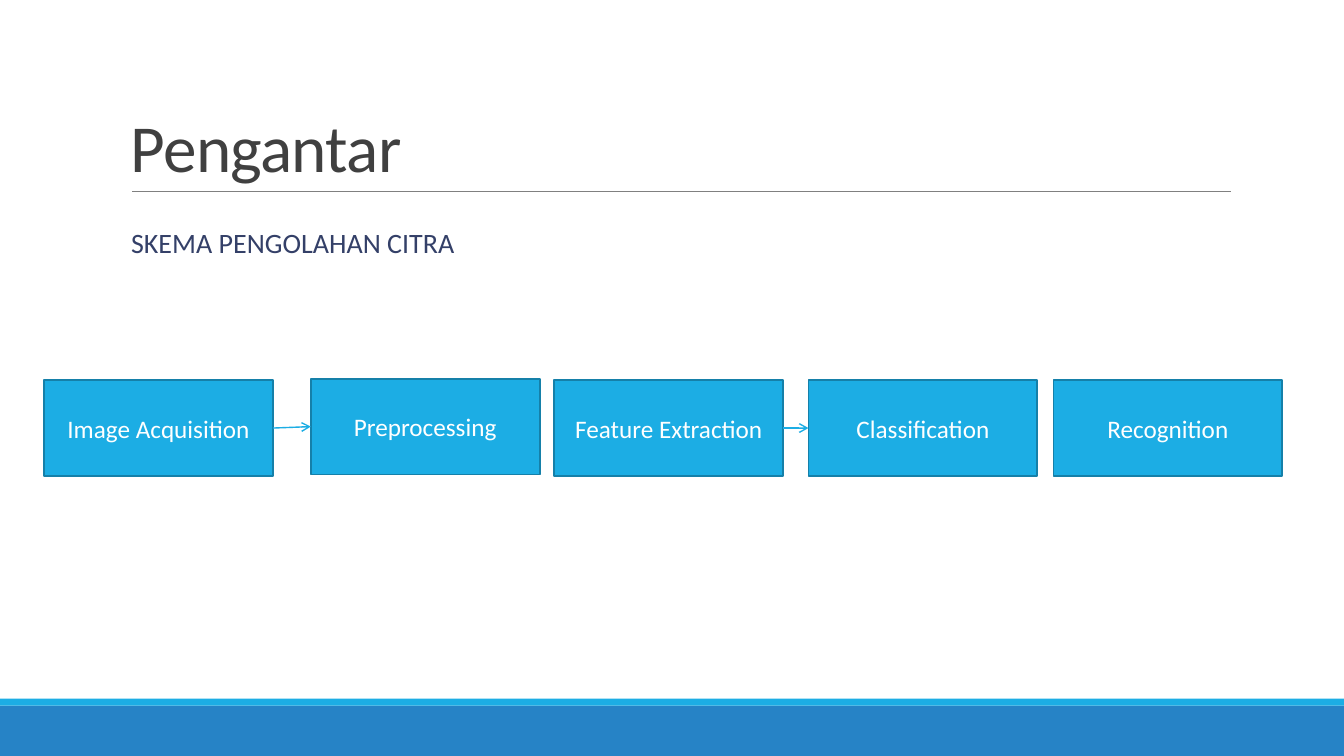
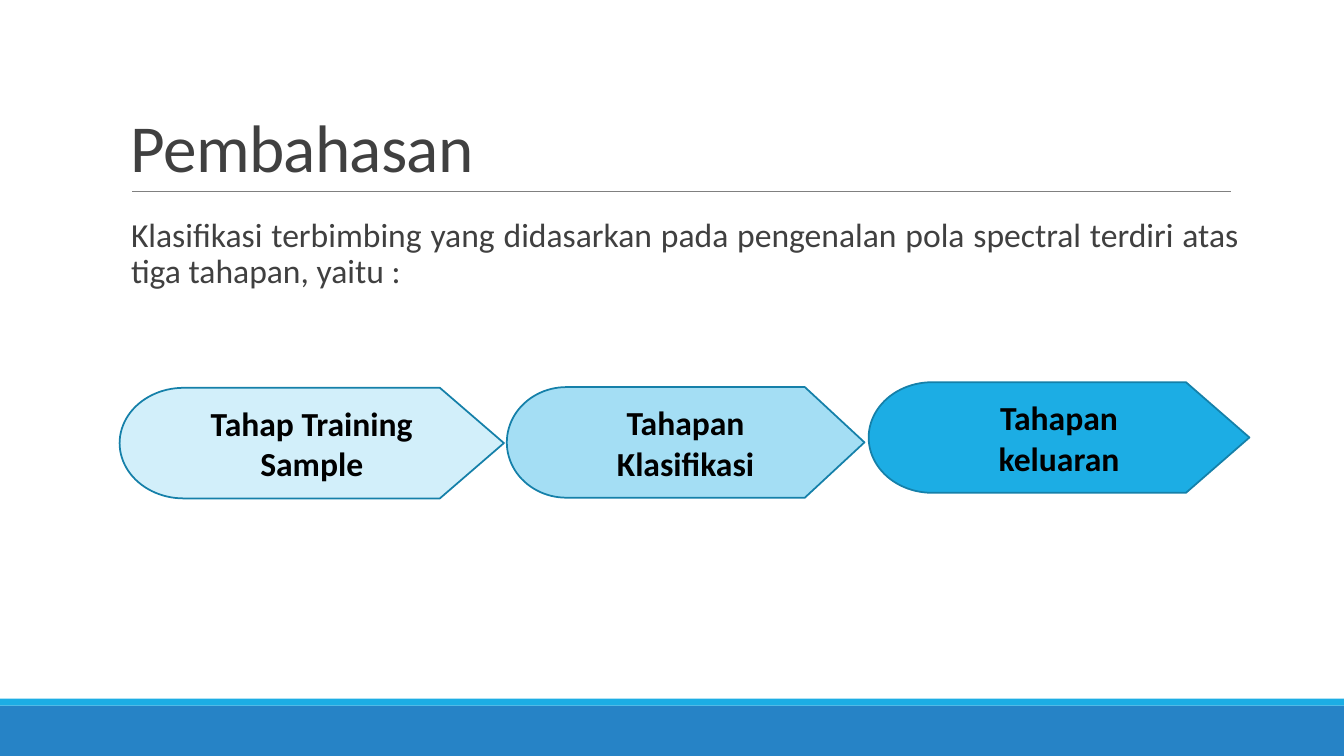
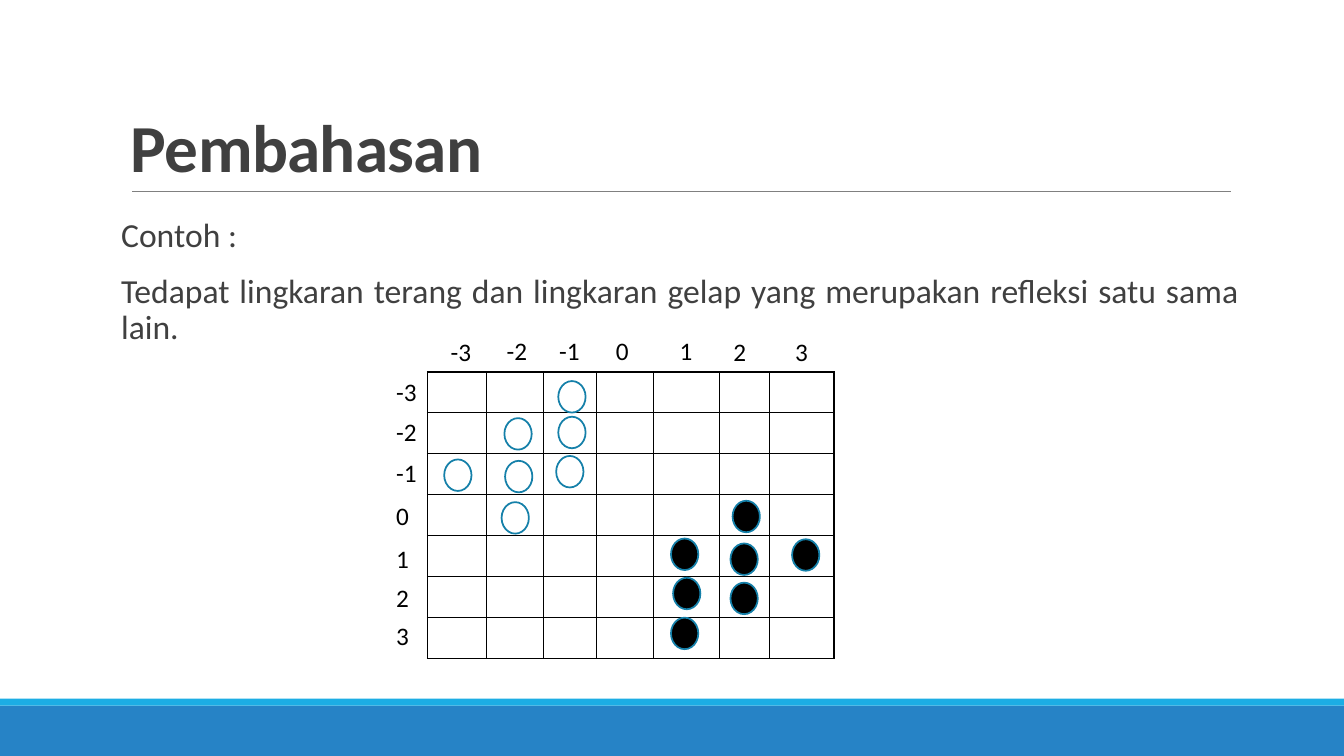
from lxml import etree
from pptx import Presentation
from pptx.dml.color import RGBColor
from pptx.enum.shapes import MSO_CONNECTOR, MSO_SHAPE
from pptx.enum.text import MSO_ANCHOR, MSO_AUTO_SIZE, PP_ALIGN
from pptx.oxml.ns import qn
from pptx.util import Pt

RECTANGLE, ELLIPSE, DISPLAY = MSO_SHAPE.RECTANGLE, MSO_SHAPE.OVAL, MSO_SHAPE.FLOWCHART_DISPLAY
STRAIGHT = MSO_CONNECTOR.STRAIGHT
TOP, MIDDLE, BOTTOM = MSO_ANCHOR.TOP, MSO_ANCHOR.MIDDLE, MSO_ANCHOR.BOTTOM
LEFT, CENTER, JUSTIFY = PP_ALIGN.LEFT, PP_ALIGN.CENTER, PP_ALIGN.JUSTIFY
FIT_TO_TEXT = MSO_AUTO_SIZE.SHAPE_TO_FIT_TEXT

WIDTH, HEIGHT = 960, 540
FONT = "Calibri"
WHITE, BLACK, INK, NAVY, RULE = "FFFFFF", "000000", "404040", "344068", "808080"
BLUE, DEEP_BLUE, OUTLINE = "1CADE4", "2683C6", "1580A9"
SITE_LEFT, SITE_RIGHT = 1, 3

BODY_BOX = (86.5, 152.5, 798.5, 309.5)
BODY_SPACING = {"line_spacing": 0.9, "space_before": Pt(12), "space_after": Pt(2)}
BODY_PARAGRAPH = {"alignment": JUSTIFY, **BODY_SPACING}
BODY_FRAME = {"margin_left": 0, "margin_right": 0}

STEPS = [
    ("Image Acquisition", 0, 1),
    ("Preprocessing", 190.5, 0),
    ("Feature Extraction", 364.5, 1),
    ("Classification", 546, 1),
    ("Recognition", 721, 1),
]
STEPS_WITH_ARROW = (0, 2)
STAGES = [
    ("Tahap Training Sample", 0, 4, 274.5, "D2EFFA"),
    ("Tahapan Klasifikasi", 276.5, 3.5, 255.5, "A4DEF4"),
    ("Tahapan keluaran", 535, 0, 272, BLUE),
]

COORDINATES = ["-3", "-2", "-1", "0", "1", "2", "3"]
COLUMN_WIDTHS = [42.5, 40.5, 38, 40.5, 47.5, 35.5, 46]
ROW_HEIGHT = 29.2
COLUMN_LABELS = [(9.5, -29), (49.5, -30), (87, -30), (127.5, -30),
                 (173, -30), (211.5, -29), (255.5, -29)]
ROW_LABELS = [(-29.5, top) for top in (-0.5, 28, 57.5, 88, 119, 147, 173.5)]
LIGHT_DOTS = [(53, 93), (93.5, 32), (92, 60), (55, 33), (55.5, 63.5), (93.5, 6.5), (12, 62.5)]
DARK_DOTS = [(218, 92), (174, 119), (216.5, 122.5), (260.5, 119.5),
             (175.5, 147), (174, 175.5), (216.5, 150.5)]


def color(hex_code):
    """Turn a hex string into a colour."""
    return RGBColor.from_string(hex_code)


def apply(target, values):
    """Set every attribute in values on the target."""
    for name, value in values.items():
        setattr(target, name, value)


def write(frame, paragraphs, size, hex_code, bold=False, spacing=None, frame_format=None, **paragraph_format):
    """Fill a text frame with paragraphs of one style."""
    apply(frame, {"word_wrap": True, **(frame_format or {})})
    for index, text in enumerate(paragraphs):
        paragraph = frame.add_paragraph() if index else frame.paragraphs[0]
        apply(paragraph, paragraph_format)
        run = paragraph.add_run()
        run.text = text
        apply(run.font, {"name": FONT, "size": Pt(size), "bold": bold})
        run.font.color.rgb = color(hex_code)
        if spacing is not None:
            run.font._element.set("spc", str(spacing))


def add_text(slide, box, paragraphs, size, hex_code, **formats):
    """Place a text box."""
    holder = slide.shapes.add_textbox(*map(Pt, box))
    write(holder.text_frame, paragraphs, size, hex_code, **formats)


def add_block(slide, kind, box, fill=None, outline=None):
    """Place a preset shape with an optional fill and outline."""
    block = slide.shapes.add_shape(kind, *map(Pt, box))
    block.shadow.inherit = False
    if fill:
        block.fill.solid()
        block.fill.fore_color.rgb = color(fill)
    else:
        block.fill.background()
    if outline:
        block.line.color.rgb = color(outline)
        block.line.width = Pt(1.25)
    else:
        block.line.fill.background()
    return block


def add_line(slide, start, end, hex_code, width):
    """Place a straight line without shadow."""
    line = slide.shapes.add_connector(STRAIGHT, *map(Pt, (*start, *end)))
    line.line.color.rgb = color(hex_code)
    line.line.width = Pt(width)
    etree.SubElement(line._element.spPr, qn("a:effectLst"))
    return line


def add_base(deck, title, bold=False):
    """Start a slide with its bands, rule and title."""
    slide = deck.slides.add_slide(deck.slide_layouts[6])
    add_block(slide, RECTANGLE, (0, 504, WIDTH, 36), DEEP_BLUE)
    add_block(slide, RECTANGLE, (0, 499, WIDTH, 5), BLUE)
    add_line(slide, (94.5, 136.8), (879, 136.8), RULE, 0.5)
    add_text(slide, (86.5, 22.5, 792, 114.3), [title], 48, INK, bold=bold, spacing=-50,
             frame_format={"vertical_anchor": BOTTOM}, line_spacing=0.85)
    return slide


def add_steps(slide, left, top, width, height):
    """Place the processing steps and the arrows between them."""
    steps = []
    for label, across, down in STEPS:
        step = add_block(slide, RECTANGLE, (left + across, top + down, width, height), BLUE, OUTLINE)
        write(step.text_frame, [label], 18, WHITE,
              frame_format={"vertical_anchor": MIDDLE}, alignment=CENTER)
        steps.append(step)
    for index in STEPS_WITH_ARROW:
        arrow = add_line(slide, (left, top), (left, top), BLUE, 1)
        arrow.begin_connect(steps[index], SITE_RIGHT)
        arrow.end_connect(steps[index + 1], SITE_LEFT)
        etree.SubElement(arrow.line._get_or_add_ln(), qn("a:tailEnd"), type="arrow")


def add_stages(slide, left, top, height):
    """Place the three classification stages, pointing right."""
    for label, across, down, width, fill in STAGES:
        stage = add_block(slide, DISPLAY, (left + across, top + down, width, height), fill, OUTLINE)
        stage._element.spPr.get_or_add_xfrm().set("flipH", "1")
        write(stage.text_frame, [label], 24, BLACK, bold=True,
              frame_format={"vertical_anchor": MIDDLE}, alignment=CENTER)


def add_borders(cell):
    """Draw black borders round a cell."""
    properties = cell._tc.get_or_add_tcPr()
    for side in ("a:lnL", "a:lnR", "a:lnT", "a:lnB"):
        border = etree.SubElement(properties, qn(side), w=str(Pt(1)))
        fill = etree.SubElement(border, qn("a:solidFill"))
        etree.SubElement(fill, qn("a:srgbClr"), val=BLACK)


def add_grid(slide, left, top):
    """Place the coordinate grid with its labels and dots."""
    count = len(COORDINATES)
    size = (sum(COLUMN_WIDTHS), ROW_HEIGHT * count)
    grid = slide.shapes.add_table(count, count, *map(Pt, (left, top, *size))).table
    apply(grid, {"first_row": False, "horz_banding": False})
    for column, width in zip(grid.columns, COLUMN_WIDTHS):
        column.width = Pt(width)
    for row in grid.rows:
        row.height = Pt(ROW_HEIGHT)
    for cell in grid.iter_cells():
        add_borders(cell)
        cell.fill.background()
    for places in (COLUMN_LABELS, ROW_LABELS):
        for label, (across, down) in zip(COORDINATES, places):
            width = 29.5 if label.startswith("-") else 24
            add_text(slide, (left + across, top + down, width, 29), [label], 18, BLACK,
                     frame_format={"word_wrap": False, "auto_size": FIT_TO_TEXT}, alignment=LEFT)
    for dots, fill in ((LIGHT_DOTS, None), (DARK_DOTS, BLACK)):
        for across, down in dots:
            add_block(slide, ELLIPSE, (left + across, top + down, 19.5, 22.5), fill, OUTLINE)


def build_scheme(deck):
    """Build the slide with the image processing scheme."""
    slide = add_base(deck, "Pengantar")
    add_text(slide, (86.5, 145.5, 389, 58.5), ["SKEMA PENGOLAHAN CITRA"], 20, NAVY,
             frame_format={"vertical_anchor": MIDDLE}, **BODY_SPACING)
    add_steps(slide, 31.5, 270.5, 163.5, 68.5)


def build_stages(deck):
    """Build the slide with the classification stages."""
    slide = add_base(deck, "Pembahasan")
    add_text(slide, BODY_BOX,
             ["Klasifikasi terbimbing yang didasarkan pada pengenalan pola spectral "
              "terdiri atas tiga tahapan, yaitu :"],
             24, INK, frame_format={**BODY_FRAME, "margin_left": Pt(7.2)}, **BODY_PARAGRAPH)
    add_stages(slide, 85.5, 273, 79)


def build_reflection(deck):
    """Build the slide with the reflection example."""
    slide = add_base(deck, "Pembahasan", bold=True)
    add_text(slide, BODY_BOX,
             ["Contoh :",
              "Tedapat lingkaran terang dan lingkaran gelap yang merupakan refleksi satu sama lain."],
             24, INK, frame_format={**BODY_FRAME, "vertical_anchor": TOP}, **BODY_PARAGRAPH)
    add_grid(slide, 305.3, 265.7)


def main():
    """Build and save the deck."""
    deck = Presentation()
    apply(deck, {"slide_width": Pt(WIDTH), "slide_height": Pt(HEIGHT)})
    for build in (build_scheme, build_stages, build_reflection):
        build(deck)
    deck.save("out.pptx")


if __name__ == "__main__":
    main()
